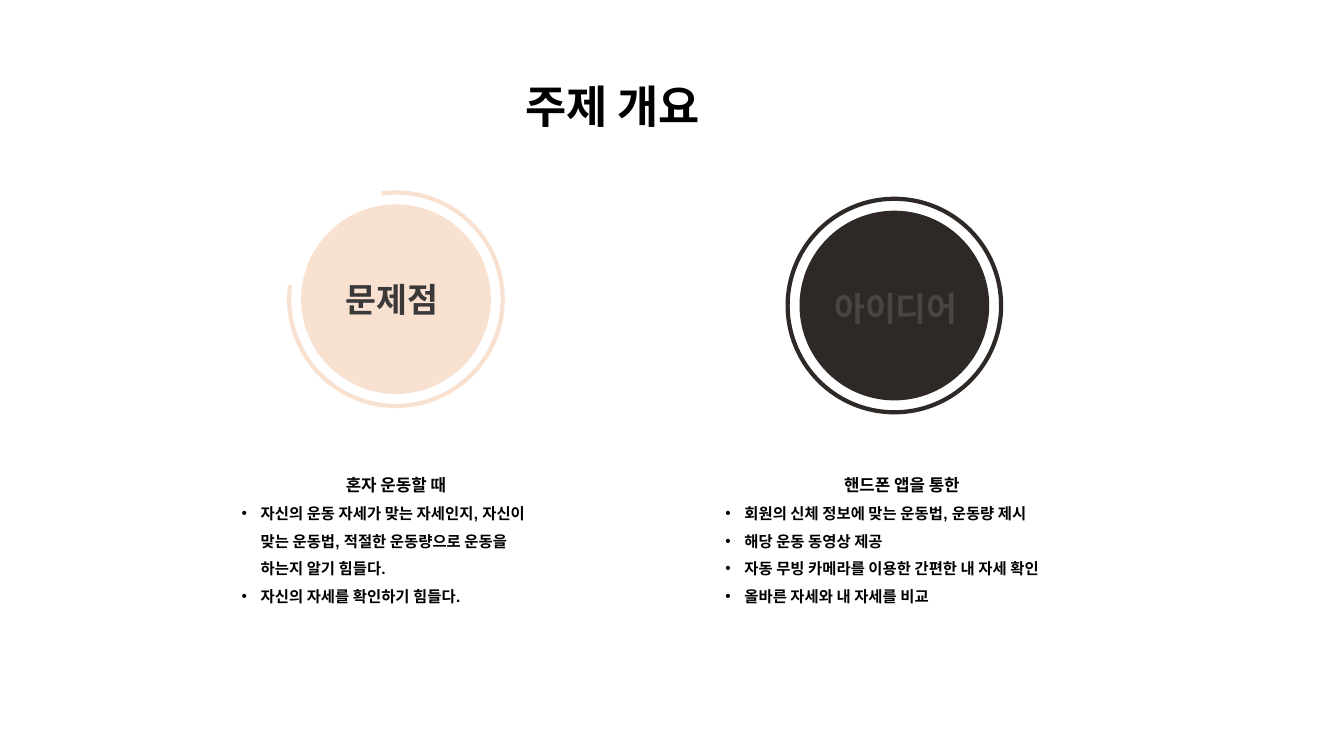
"""Builds the topic overview slide: a problem and an idea, each under a ringed disc."""
import pptx
import pptx.dml.color
import pptx.enum.shapes
import pptx.enum.text
import pptx.oxml.ns
import pptx.util
from lxml import etree
from pptx.util import Cm

KOREAN = "Noto Sans CJK KR"
TITLE = "주제 개요"
RING, DISC = 5.38, 4.78
OPEN_RING_ANGLES = (262.5, 187.5)
LABEL = (4.4, 1.27)
TEXT_TOP, TEXT_HEIGHT = 11.58, 3.84
TOPICS = [
    dict(label="문제점", center=(9.98, 7.54), label_center=(9.87, 7.54), fill="F9E1D2", ink="3B3838",
         open_ring=True, text_left=5.84, text_width=8.28, wrap=True,
         heading="혼자 운동할 때",
         points=["자신의 운동 자세가 맞는 자세인지, 자신이 맞는 운동법, 적절한 운동량으로 운동을 하는지 알기 힘들다.",
                 "자신의 자세를 확인하기 힘들다."]),
    dict(label="아이디어", center=(22.54, 7.7), label_center=(22.58, 7.77), fill="2E2926", ink="4A4443",
         open_ring=False, text_left=18.03, text_width=9.4, wrap=False,
         heading="핸드폰 앱을 통한",
         points=["회원의 신체 정보에 맞는 운동법, 운동량 제시",
                 "해당 운동 동영상 제공",
                 "자동 무빙 카메라를 이용한 간편한 내 자세 확인",
                 "올바른 자세와 내 자세를 비교"]),
]


def color(value):
    return pptx.dml.color.RGBColor.from_string(value)


def write(para, text, size, font=KOREAN, ink="000000", align="LEFT", spacing=1.0, bullet=False):
    para.alignment = getattr(pptx.enum.text.PP_ALIGN, align)
    para.line_spacing = spacing
    para.space_before = para.space_after = pptx.util.Pt(0)
    span = para.add_run()
    span.text = text
    span.font.size = pptx.util.Pt(size)
    span.font.bold = True
    span.font.name = font
    span.font.color.rgb = color(ink)
    east_asian = etree.SubElement(span.font._element, pptx.oxml.ns.qn("a:ea"))
    east_asian.set("typeface", KOREAN)
    if bullet:
        settings = para._p.get_or_add_pPr()
        settings.set("marL", str(Cm(0.48)))
        settings.set("indent", str(-Cm(0.48)))
        face = etree.SubElement(settings, pptx.oxml.ns.qn("a:buFont"))
        face.set("typeface", "Arial")
        mark = etree.SubElement(settings, pptx.oxml.ns.qn("a:buChar"))
        mark.set("char", "•")


def add_round(page, kind, center, size):
    left, top = (Cm(middle - size / 2) for middle in center)
    shape = page.shapes.add_shape(kind, left, top, Cm(size), Cm(size))
    shape.shadow.inherit = False
    return shape


def add_ring(page, topic):
    kinds = pptx.enum.shapes.MSO_SHAPE
    ring = add_round(page, kinds.ARC if topic["open_ring"] else kinds.OVAL, topic["center"], RING)
    if topic["open_ring"]:
        for index, angle in enumerate(OPEN_RING_ANGLES):
            ring.adjustments[index] = angle * 0.6
    ring.fill.background()
    ring.line.color.rgb = color(topic["fill"])
    ring.line.width = pptx.util.Pt(3)


def add_disc(page, topic):
    disc = add_round(page, pptx.enum.shapes.MSO_SHAPE.OVAL, topic["center"], DISC)
    disc.fill.solid()
    disc.fill.fore_color.rgb = color(topic["fill"])
    disc.line.fill.background()


def add_box(page, left, top, width, height, wrap=False):
    box = page.shapes.add_textbox(Cm(left), Cm(top), Cm(width), Cm(height))
    box.text_frame.word_wrap = wrap
    return box.text_frame


def add_topic(page, topic):
    add_ring(page, topic)
    add_disc(page, topic)

    x, y = topic["label_center"]
    width, height = LABEL
    label = add_box(page, x - width / 2, y - height / 2, width, height)
    write(label.paragraphs[0], topic["label"], 24, ink=topic["ink"], align="CENTER")

    body = add_box(page, topic["text_left"], TEXT_TOP, topic["text_width"], TEXT_HEIGHT, topic["wrap"])
    write(body.paragraphs[0], topic["heading"], 12, font="Arial", align="CENTER", spacing=1.5)
    for point in topic["points"]:
        write(body.add_paragraph(), point, 11, font="Arial", spacing=1.5, bullet=True)


def main():
    deck = pptx.Presentation()
    deck.slide_width, deck.slide_height = Cm(33.87), Cm(19.05)
    page = deck.slides.add_slide(deck.slide_layouts[5])
    title = page.shapes.title
    title.left, title.top, title.width, title.height = Cm(12.98), Cm(1.86), Cm(5.36), Cm(1.63)
    title.text_frame.word_wrap = False
    title.text_frame.vertical_anchor = pptx.enum.text.MSO_ANCHOR.TOP
    write(title.text_frame.paragraphs[0], TITLE, 32)
    for topic in TOPICS:
        add_topic(page, topic)
    deck.save("out.pptx")


if __name__ == "__main__":
    main()
